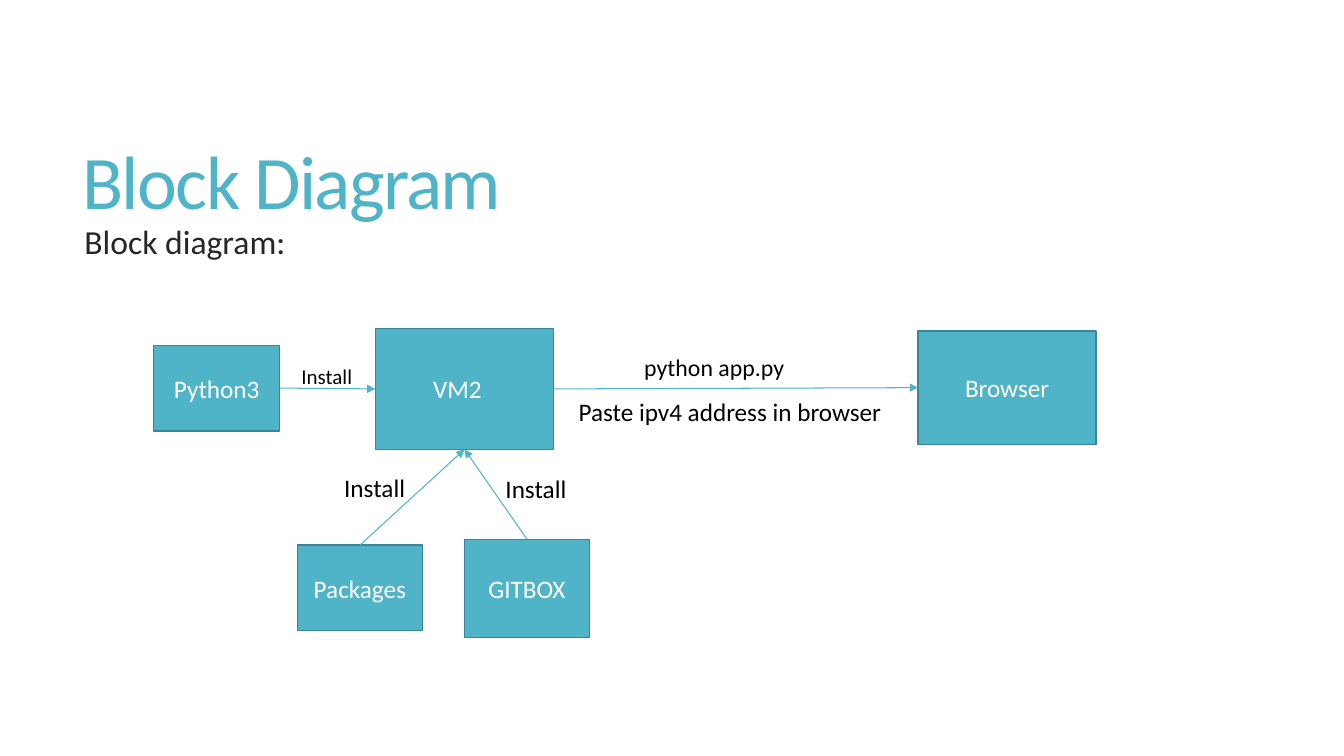
from pptx import Presentation
from pptx.util import Inches, Pt
from pptx.dml.color import RGBColor
from pptx.enum.shapes import MSO_SHAPE as Shape, MSO_CONNECTOR as Line
from pptx.enum.text import PP_ALIGN as Align, MSO_ANCHOR as Anchor
from pptx.oxml.ns import qn
from lxml.etree import SubElement as Sub

# Grid of 160 columns by 90 rows; each place is column, row, columns, rows
COLS, ROWS, CELL = 160, 90, Inches(1 / 12)
TEAL, EDGE, WHITE, BLACK, GREY = "50B4C8", "3B8594", "FFFFFF", "000000", "262626"

# Content
TITLE = ("Block Diagram", (8.64, 6.6, 141.36, 21.72))
LEAD = ("Block diagram:", (8.88, 26.4, 141.12, 49.44))
BOXES = {
    "VM2": (44.7, 39.1, 21.2, 14.4),
    "Python3": (18.3, 41.1, 15, 10.2),
    "GITBOX": (55.3, 64.2, 14.9, 11.7),
    "Packages": (35.4, 64.9, 14.9, 10.2),
    "Browser": (109.3, 39.4, 21.2, 13.5),
}
TOP, LEFT, BOTTOM, RIGHT = range(4)
ARROWS = [
    ("Python3", RIGHT, "VM2", LEFT),
    ("GITBOX", TOP, "VM2", BOTTOM),
    ("Packages", TOP, "VM2", BOTTOM),
    ("VM2", RIGHT, "Browser", LEFT),
]
LABELS = [
    ("python app.py", 17, (75.5, 41.4, 22.9, 4.7)),
    ("Paste ipv4 address in browser", 18, (67.7, 46.6, 38.5, 4.8)),
    ("Install", 15, (34.7, 42.7, 8.5, 4.2)),
    ("Install", 18, (39.8, 55.6, 10.6, 4.8)),
    ("Install", 18, (59, 55.8, 10.3, 4.8)),
]


def color(code):
    return RGBColor.from_string(code)


def span(place):
    return [int(n * CELL) for n in place]


def write(shape, text, size, ink, para={}, frame={}):
    body = shape.text_frame
    for key, val in {"word_wrap": True, **frame}.items():
        setattr(body, key, val)
    line = body.paragraphs[0]
    for key, val in para.items():
        setattr(line, key, val)
    run = line.add_run()
    run.text = text
    for key, val in {"name": "Calibri", "size": Pt(size)}.items():
        setattr(run.font, key, val)
    run.font.color.rgb = color(ink)
    return run


deck = Presentation()
deck.slide_width, deck.slide_height = COLS * CELL, ROWS * CELL
slide = deck.slides.add_slide(deck.slide_layouts[6])
parts = slide.shapes

# Heading and lead line
tight = {"line_spacing": 0.85}
head = write(parts.add_textbox(*span(TITLE[1])), TITLE[0], 54, TEAL, tight,
             {"vertical_anchor": Anchor.BOTTOM, "margin_bottom": Inches(0.13)})
head.font._element.set("spc", "-120")
write(parts.add_textbox(*span(LEAD[1])), LEAD[0], 24, GREY, tight)

# Blocks
blocks = {}
for name, place in BOXES.items():
    box = blocks[name] = parts.add_shape(Shape.RECTANGLE, *span(place))
    box.shadow.inherit = False
    box.fill.solid()
    box.fill.fore_color.rgb = color(TEAL)
    box.line.color.rgb = color(EDGE)
    box.line.width = Pt(1)
    write(box, name, 18, WHITE, {"alignment": Align.CENTER},
          {"vertical_anchor": Anchor.MIDDLE})
blocks["VM2"].text_frame.margin_right = Inches(0.24)

# Arrows between blocks
for start, out, end, into in ARROWS:
    arrow = parts.add_connector(Line.STRAIGHT, 0, 0, 0, 0)
    arrow.begin_connect(blocks[start], out)
    arrow.end_connect(blocks[end], into)
    arrow.line.color.rgb = color(TEAL)
    arrow.line.width = Pt(0.75)
    Sub(arrow.line._get_or_add_ln(), qn("a:tailEnd"), type="triangle")
    Sub(arrow._element.spPr, qn("a:effectLst"))

# Arrow labels
for text, size, place in LABELS:
    write(parts.add_textbox(*span(place)), text, size, BLACK)

deck.save("out.pptx")
